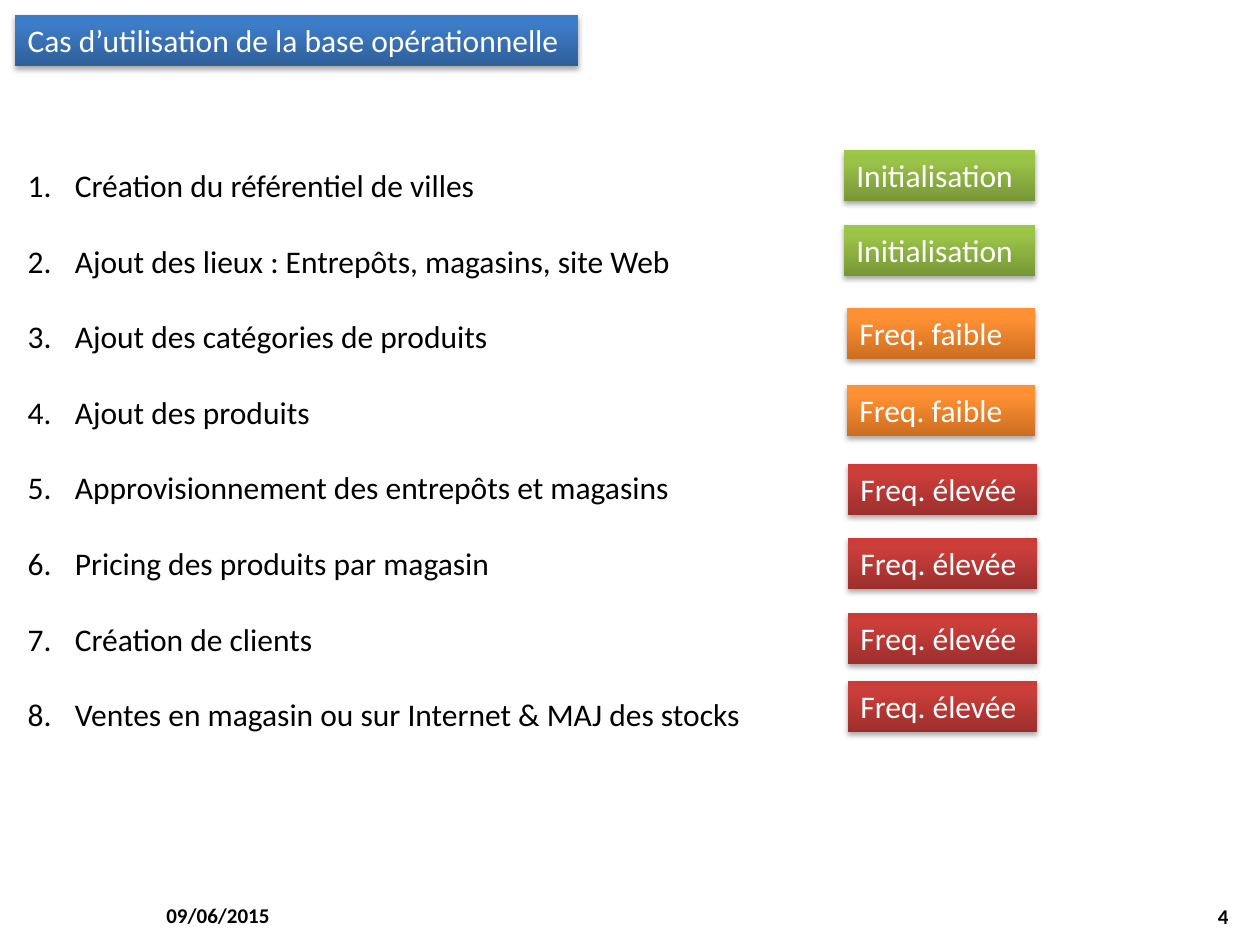
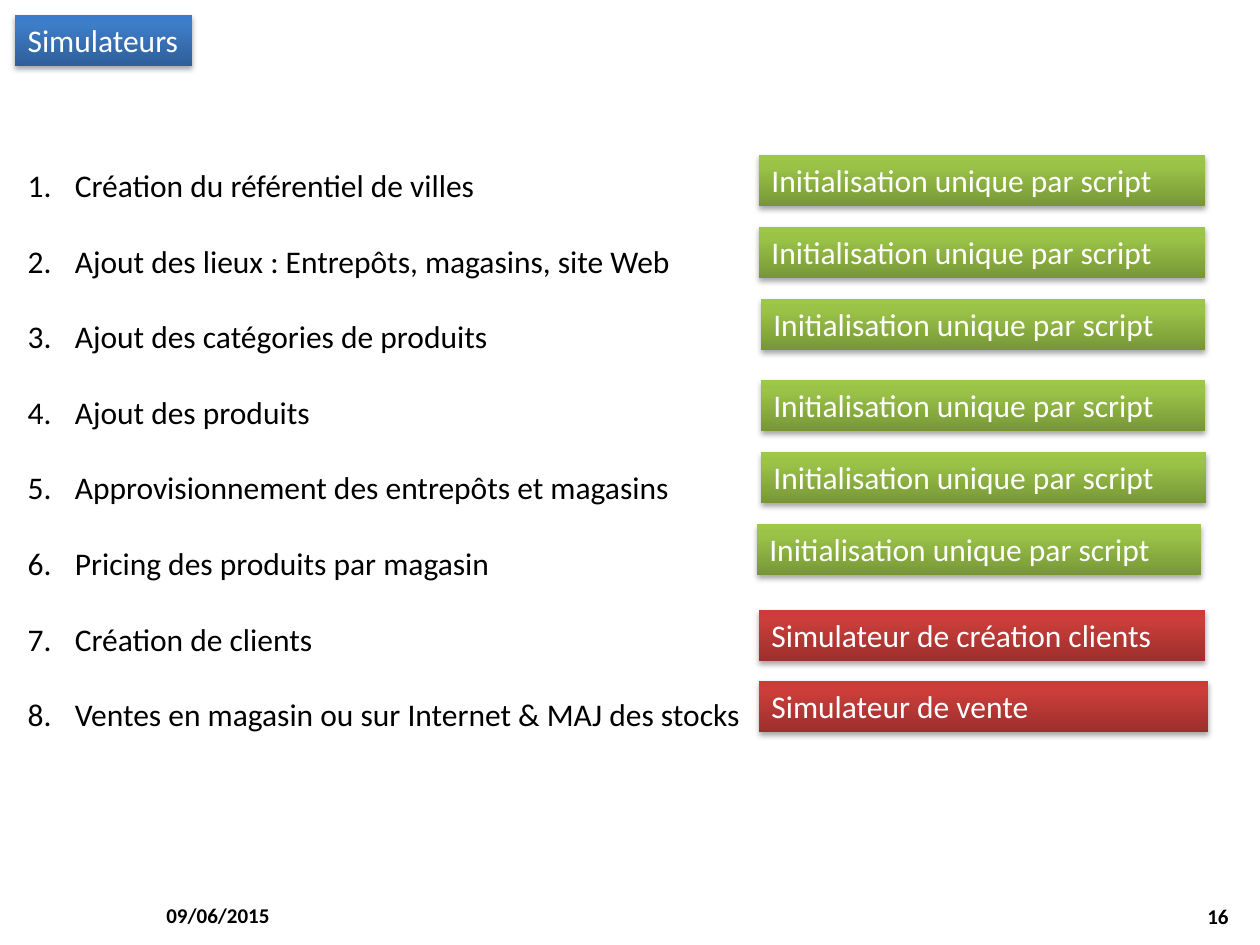
import pptx
import pptx.util
import pptx.dml.color
import pptx.enum.shapes
import pptx.enum.text
import pptx.oxml
import pptx.oxml.ns

RGBColor = pptx.dml.color.RGBColor
ALIGN = pptx.enum.text.PP_ALIGN
ANCHOR = pptx.enum.text.MSO_ANCHOR

# Shared style
PX = 914400 / 126
FONT = "Calibri"
BLACK = RGBColor(0x00, 0x00, 0x00)
WHITE = RGBColor(0xFF, 0xFF, 0xFF)
BLUE = (RGBColor(0x2F, 0x5F, 0x99), RGBColor(0x3D, 0x7C, 0xC7), RGBColor(0x3A, 0x7C, 0xCB))
GREEN = (RGBColor(0x77, 0x97, 0x37), RGBColor(0x9B, 0xC3, 0x48), RGBColor(0x9D, 0xC7, 0x46))
ORANGE = (RGBColor(0xCC, 0x6E, 0x20), RGBColor(0xFF, 0x90, 0x34), RGBColor(0xFF, 0x91, 0x36))
RED = (RGBColor(0x9C, 0x2F, 0x2D), RGBColor(0xCB, 0x3E, 0x3A), RGBColor(0xCE, 0x3B, 0x37))
BAND_HEIGHT = 51
NS = pptx.oxml.ns.nsdecls("a")

# Shared content
DATE = "09/06/2015"
USE_CASES = [
    "Création du référentiel de villes",
    "Ajout des lieux : Entrepôts, magasins, site Web",
    "Ajout des catégories de produits",
    "Ajout des produits",
    "Approvisionnement des entrepôts et magasins",
    "Pricing des produits par magasin",
    "Création de clients",
    "Ventes en magasin ou sur Internet & MAJ des stocks",
]
INIT = ("Initialisation", GREEN)
LOW = ("Freq. faible", ORANGE)
HIGH = ("Freq. élevée", RED)
SCRIPT = ("Initialisation unique par script", GREEN)
CLIENTS = ("Simulateur de création clients", RED)
SALES = ("Simulateur de vente", RED)

# Title, title width, page number, tags (kind, left, top, width)
SLIDES = [
    ("Cas d’utilisation de la base opérationnelle", 563, "4", [
        (INIT, 844, 150, 191), (INIT, 844, 225, 191),
        (LOW, 847, 308, 188), (LOW, 847, 385, 188),
        (HIGH, 848, 464, 189), (HIGH, 848, 538, 189),
        (HIGH, 848, 613, 189), (HIGH, 848, 681, 189)]),
    ("Simulateurs", 177, "16", [
        (SCRIPT, 759, 155, 446), (SCRIPT, 759, 227, 446),
        (SCRIPT, 761, 299, 444), (SCRIPT, 761, 380, 444),
        (SCRIPT, 761, 452, 445), (SCRIPT, 757, 524, 444),
        (CLIENTS, 759, 610, 446), (SALES, 759, 681, 449)]),
]


def write(shape, box, lines, size, color, bold=False, align=ALIGN.LEFT, anchor=ANCHOR.TOP):
    """Place a shape and fill it with one paragraph per line."""
    shape.left, shape.top, shape.width, shape.height = [round(v * PX) for v in box]
    frame = shape.text_frame
    frame.word_wrap = True
    frame.auto_size = pptx.enum.text.MSO_AUTO_SIZE.NONE
    frame.vertical_anchor = anchor
    for index, line in enumerate(lines):
        paragraph = frame.add_paragraph() if index else frame.paragraphs[0]
        paragraph.alignment = align
        run = paragraph.add_run()
        run.text = line
        run.font.name = FONT
        run.font.size = pptx.util.Pt(size)
        run.font.bold = bold
        run.font.color.rgb = color


def paint_band(shape, colors):
    """Vertical gradient, no outline, soft shadow below."""
    stops = "".join(
        f'<a:gs pos="{pos}"><a:srgbClr val="{color}"/></a:gs>'
        for pos, color in zip((0, 80000, 100000), colors))
    properties = shape.fill._xPr
    properties.append(pptx.oxml.parse_xml(
        f'<a:gradFill {NS} rotWithShape="1"><a:gsLst>{stops}</a:gsLst>'
        '<a:lin ang="16200000" scaled="0"/></a:gradFill>'))
    shape.line.fill.background()
    properties.append(pptx.oxml.parse_xml(
        f'<a:effectLst {NS}><a:outerShdw blurRad="40000" dist="23000" dir="5400000" '
        'rotWithShape="0"><a:srgbClr val="000000"><a:alpha val="35000"/></a:srgbClr>'
        '</a:outerShdw></a:effectLst>'))


deck = pptx.Presentation()
deck.slide_width = pptx.util.Inches(10)
deck.slide_height = pptx.util.Inches(7.5)

for heading, heading_width, page, tags in SLIDES:
    slide = deck.slides.add_slide(deck.slide_layouts[1])

    # Title band
    title = slide.shapes.title
    write(title, (15, 15, heading_width, BAND_HEIGHT), [heading], 18, WHITE)
    title.text_frame.word_wrap = False
    paint_band(title, BLUE)

    # Numbered use cases
    use_cases = slide.placeholders[1]
    write(use_cases, (15, 122, 861, 624), USE_CASES, 18, BLACK)
    for paragraph in use_cases.text_frame.paragraphs:
        paragraph.line_spacing = 2.0
        paragraph.space_before = pptx.util.Pt(0)
        layout = paragraph._p.get_or_add_pPr()
        layout.set("marL", "342900")
        layout.set("indent", "-342900")
        layout.append(pptx.oxml.parse_xml(f'<a:buFont {NS} typeface="+mj-lt"/>'))
        layout.append(pptx.oxml.parse_xml(f'<a:buAutoNum {NS} type="arabicPeriod"/>'))

    # Tag beside each use case
    for (label, colors), left, top, width in tags:
        tag = slide.shapes.add_shape(pptx.enum.shapes.MSO_SHAPE.RECTANGLE, 0, 0, 0, 0)
        write(tag, (left, top, width, BAND_HEIGHT), [label], 18, WHITE)
        paint_band(tag, colors)

    # Footer: date and page number
    for text, left, top, align in ((DATE, 154, 890, ALIGN.LEFT), (page, 948, 891, ALIGN.RIGHT)):
        footer = slide.shapes.add_textbox(0, 0, 0, 0)
        write(footer, (left, top, 293, 50), [text], 12, BLACK, True, align, ANCHOR.MIDDLE)

deck.save("out.pptx")
